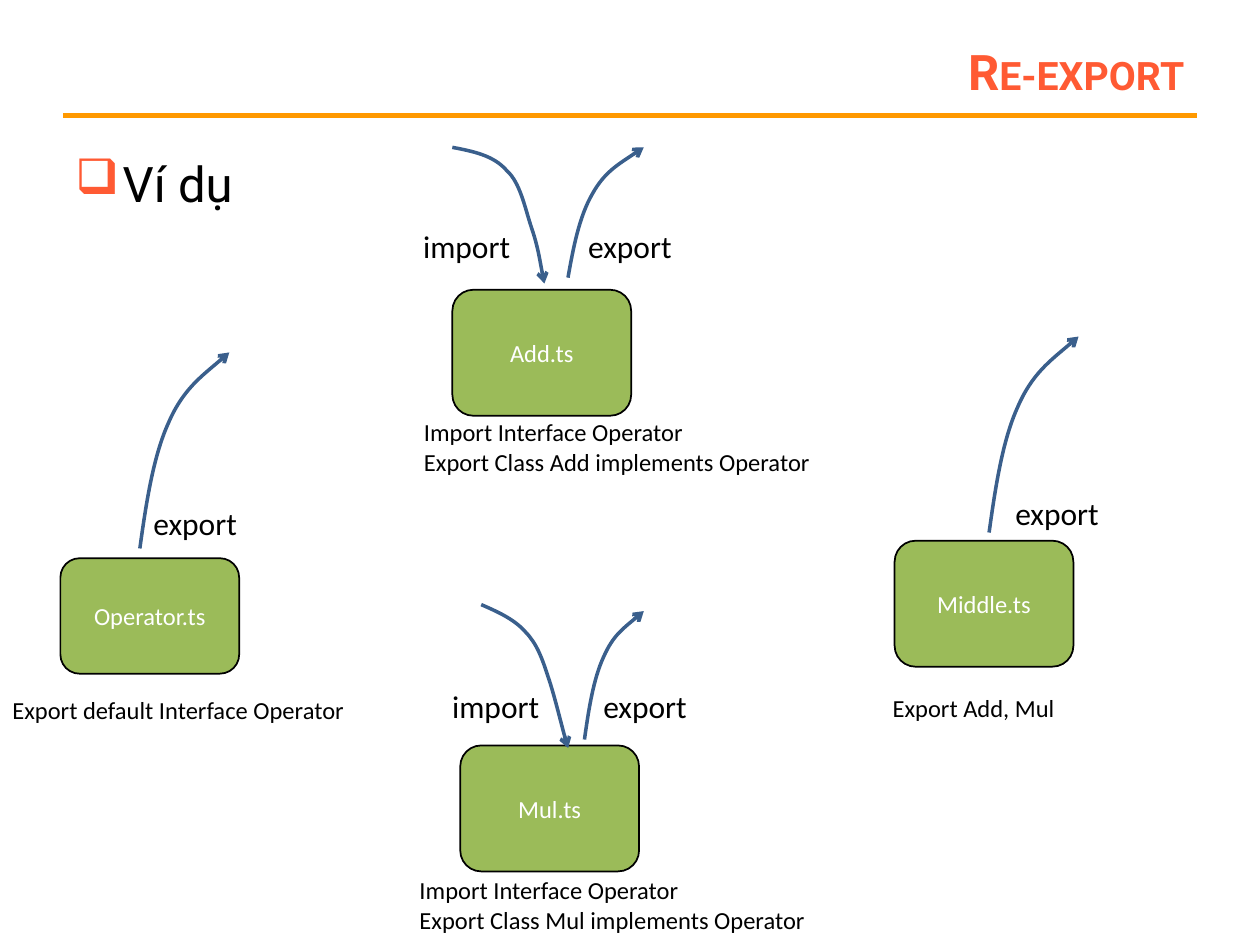
from dataclasses import dataclass

from lxml.etree import SubElement
from pptx import Presentation
from pptx.dml.color import RGBColor as Rgb
from pptx.enum.shapes import MSO_CONNECTOR as Conn, MSO_SHAPE as Kind
from pptx.enum.text import MSO_ANCHOR as Anchor, MSO_AUTO_SIZE as Fit, PP_ALIGN as Align
from pptx.oxml.ns import qn
from pptx.util import Pt


@dataclass(frozen=True)
class Theme:
    head: str = "Roboto"
    body: str = "Calibri"
    accent: Rgb = Rgb(0xFF, 0x5A, 0x33)
    rule: Rgb = Rgb(0xFF, 0x99, 0x00)
    box: Rgb = Rgb(0x9B, 0xBB, 0x59)
    arrow: Rgb = Rgb(0x3A, 0x5F, 0x8C)
    ink: Rgb = Rgb(0, 0, 0)
    paper: Rgb = Rgb(255, 255, 255)
    big: float = 28
    mid: float = 18
    small: float = 14


@dataclass(frozen=True)
class Area:
    x: float
    y: float
    w: float
    h: float

    def emu(self) -> tuple:
        return Pt(self.x), Pt(self.y), Pt(self.w), Pt(self.h)


@dataclass(frozen=True)
class File:
    name: str
    area: Area


@dataclass(frozen=True)
class Label:
    text: str
    area: Area
    size: float
    wrap: bool = False


@dataclass(frozen=True)
class Curve:
    area: Area
    knots: tuple  # start, then three Bézier points a piece, as parts of the area


theme = Theme()

# Curve forms
RISE = ((0, 1), (.07, .77), (.15, .53), (.32, .36), (.48, .19), (.75, .1), (1, 0))
FALL = ((0, 0), (.23, .03), (.45, .06), (.59, .17), (.74, .26), (.79, .45),
        (.86, .59), (.93, .73), (.96, .87), (1, 1))
HOOK = ((0, 0), (.19, .05), (.38, .1), (.51, .19), (.64, .27), (.7, .37), (.77, .5),
        (.84, .62), (.93, .85), (.97, .93), (1, 1.02), (1, 1.01), (1, .99))

# Content
FILES = (
    File("Operator.ts", Area(34.5, 319, 102.2, 66)),
    File("Add.ts", Area(258.5, 165.6, 102.2, 72)),
    File("Mul.ts", Area(263, 426, 102.2, 72)),
    File("Middle.ts", Area(511.2, 309, 102.2, 72)),
)
CURVES = (
    Curve(Area(79.9, 201.4, 51.1, 112), RISE),
    Curve(Area(258.5, 84.2, 52.6, 77.8), FALL),
    Curve(Area(275, 345.5, 49.7, 82.8), HOOK),
    Curve(Area(324.6, 84.2, 43.3, 74.5), RISE),
    Curve(Area(334, 349.2, 33.9, 73.4), RISE),
    Curve(Area(565.2, 192.3, 51.1, 112), RISE),
)
LABELS = (
    Label("export", Area(80.6, 284.6, 62.6, 29), theme.mid),
    Label("import", Area(234.7, 126, 64.8, 29), theme.mid),
    Label("import", Area(251.3, 389, 66.2, 29), theme.mid),
    Label("export", Area(329, 126, 62.6, 29), theme.mid),
    Label("export", Area(337.7, 389.2, 62.6, 29), theme.mid),
    Label("export", Area(573.1, 278.8, 62.6, 29), theme.mid),
    Label("Export default Interface Operator", Area(0, 393.8, 228.2, 24.3), theme.small, True),
    Label("Import Interface Operator\nExport Class Add implements Operator",
          Area(235.2, 234.9, 237.6, 41.1), theme.small),
    Label("Import Interface Operator\nExport Class Mul implements Operator",
          Area(232.6, 496.7, 236.9, 41.1), theme.small),
    Label("Export Add, Mul", Area(503, 392.6, 108, 24.3), theme.small),
)


def style(para, face: str, size: float, color: Rgb) -> None:
    para.font.name = face
    para.font.size = Pt(size)
    para.font.color.rgb = color


def add_text(slide, text: str, area: Area, face: str, size: float, color: Rgb, wrap: bool = True):
    frame = slide.shapes.add_textbox(*area.emu()).text_frame
    frame.word_wrap = wrap
    frame.text = text
    for para in frame.paragraphs:
        style(para, face, size, color)
    return frame


def add_head(slide) -> None:
    rule = slide.shapes.add_connector(Conn.STRAIGHT, Pt(36), Pt(66), Pt(684), Pt(66))
    rule.line.color.rgb = theme.rule
    rule.line.width = Pt(3)
    SubElement(rule._element.spPr, qn("a:effectLst"))

    frame = add_text(slide, "Re-export", Area(162, 21.6, 522, 38.2),
                     theme.head, theme.big, theme.accent)
    frame.vertical_anchor = Anchor.MIDDLE
    para = frame.paragraphs[0]
    para.alignment = Align.RIGHT
    para.font.bold = True
    para.runs[0].font._element.set("cap", "small")


def add_point(slide) -> None:
    frame = add_text(slide, "Ví dụ", Area(36, 84.2, 648, 414),
                     theme.head, theme.big, theme.ink)
    para = frame.paragraphs[0]
    para.space_before = Pt(theme.big * .2)
    props = para._p.get_or_add_pPr()
    props.set("marL", str(Pt(27)))
    props.set("indent", str(-Pt(27)))
    # Bullet colour and sign go before the default run properties
    last = props.find(qn("a:defRPr"))
    tint = SubElement(props, qn("a:buClr"))
    SubElement(tint, qn("a:srgbClr"), val=str(theme.accent))
    sign = SubElement(props, qn("a:buChar"), char="❑")
    if last is not None:
        last.addprevious(tint)
        last.addprevious(sign)


def add_file(slide, file: File) -> None:
    box = slide.shapes.add_shape(Kind.ROUNDED_RECTANGLE, *file.area.emu())
    box.shadow.inherit = False
    box.fill.solid()
    box.fill.fore_color.rgb = theme.box
    box.line.color.rgb = theme.ink
    box.line.width = Pt(1)
    frame = box.text_frame
    frame.text = file.name
    frame.vertical_anchor = Anchor.MIDDLE
    para = frame.paragraphs[0]
    para.alignment = Align.CENTER
    style(para, theme.body, theme.small, theme.paper)


def add_curve(slide, curve: Curve) -> None:
    area = curve.area
    first, *rest = [(Pt(area.x + u * area.w), Pt(area.y + v * area.h)) for u, v in curve.knots]
    build = slide.shapes.build_freeform(*first)
    build.add_line_segments(rest, close=False)
    shape = build.convert_to_shape()
    shape.shadow.inherit = False
    shape.fill.background()
    shape.line.color.rgb = theme.arrow
    shape.line.width = Pt(2)
    SubElement(shape.line._get_or_add_ln(), qn("a:tailEnd"), type="arrow")
    # Each three straight steps become one Bézier piece
    route = next(shape._element.iter(qn("a:path")))
    steps = route.findall(qn("a:lnTo"))
    for i in range(0, len(steps), 3):
        bend = SubElement(route, qn("a:cubicBezTo"))
        for step in steps[i:i + 3]:
            bend.append(step[0])
            route.remove(step)


def add_label(slide, label: Label) -> None:
    frame = add_text(slide, label.text, label.area, theme.body, label.size, theme.ink, label.wrap)
    frame.auto_size = Fit.SHAPE_TO_FIT_TEXT


def main() -> None:
    deck = Presentation()
    deck.slide_width, deck.slide_height = Pt(720), Pt(540)
    slide = deck.slides.add_slide(deck.slide_layouts[6])
    add_head(slide)
    add_point(slide)
    for file in FILES:
        add_file(slide, file)
    for curve in CURVES:
        add_curve(slide, curve)
    for label in LABELS:
        add_label(slide, label)
    deck.save("out.pptx")


if __name__ == "__main__":
    main()
